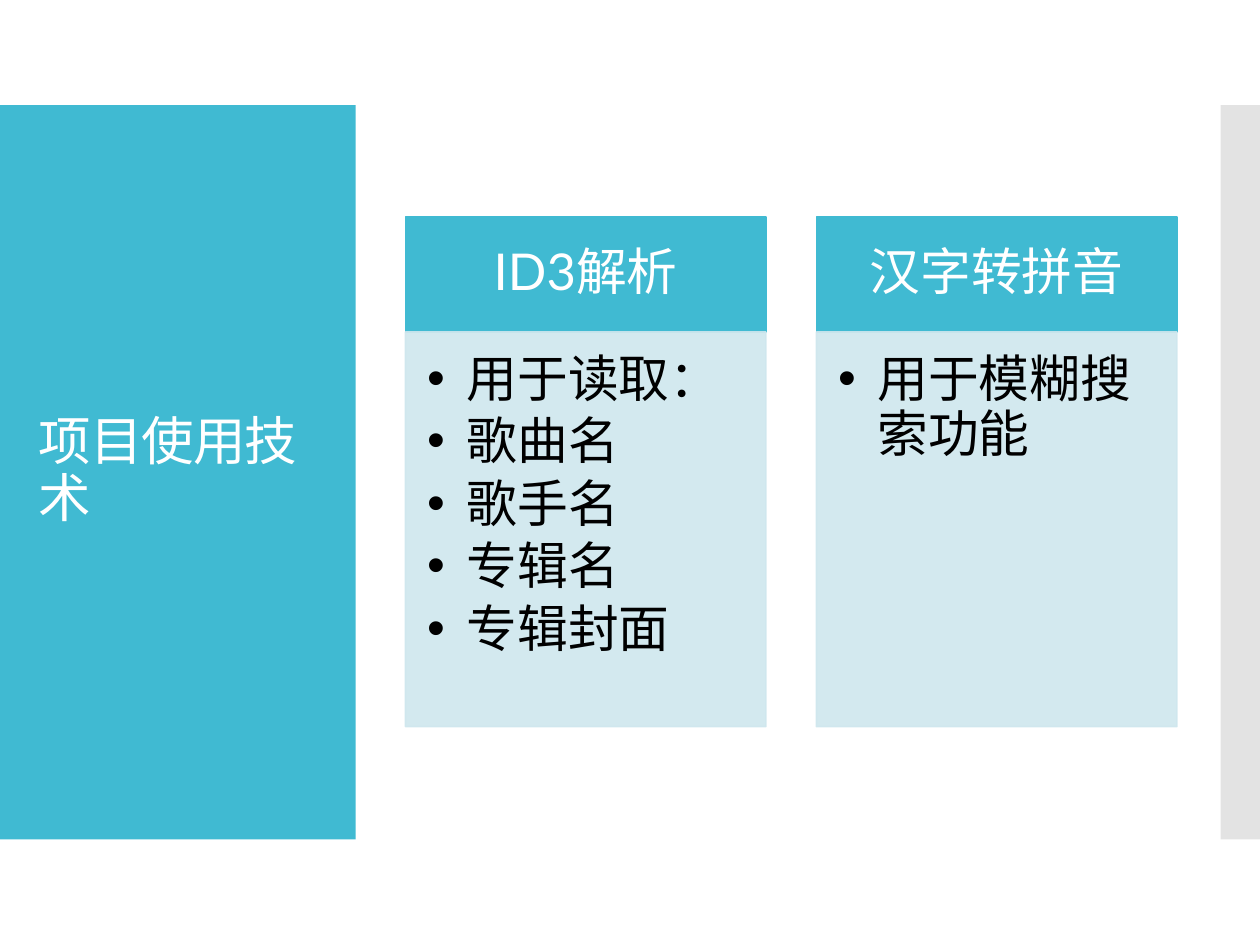
from pptx import Presentation
from pptx.dml.color import RGBColor
from pptx.enum.shapes import MSO_SHAPE as Preset
from pptx.enum.text import MSO_ANCHOR as Anchor, MSO_AUTO_SIZE as AutoSize, PP_ALIGN as Align
from pptx.oxml.ns import qn
from pptx.util import Pt
from lxml.etree import SubElement


def color(value):
    return RGBColor.from_string(value)


class SlideBuilder:
    FONT = "Lato"
    ACCENT = "40BAD2"
    PANEL = "CFE7EE"
    GREY = "C8C8C8"
    WHITE = "FFFFFF"
    BLACK = "000000"

    def __init__(self, slide):
        self.slide = slide

    def place(self, shape, left, top, width, height):
        shape.left, shape.top = Pt(left), Pt(top)
        shape.width, shape.height = Pt(width), Pt(height)

    def paint(self, shape, fill, opacity=100, line_width=0):
        shape.fill.solid()
        shape.fill.fore_color.rgb = color(fill)
        if line_width:
            shape.line.width = Pt(line_width)
            shape.line.color.rgb = color(fill)
        else:
            shape.line.fill.background()
        if opacity < 100:
            for node in shape.element.spPr.iter(qn("a:srgbClr")):
                SubElement(node, qn("a:alpha")).set("val", str(opacity * 1000))

    def band(self, box, fill, opacity=100):
        shape = self.slide.shapes.add_shape(Preset.RECTANGLE, *map(Pt, box))
        shape.shadow.inherit = False
        self.paint(shape, fill, opacity)
        self.slide.shapes.title.element.addprevious(shape.element)

    def set_text(self, shape, text, size, font_color, anchor, align, insets, space_after=0):
        frame = shape.text_frame
        frame.text = text
        frame.word_wrap = True
        frame.auto_size = AutoSize.NONE
        frame.vertical_anchor = anchor
        frame.margin_left, frame.margin_top, frame.margin_right, frame.margin_bottom = map(Pt, insets)
        for paragraph in frame.paragraphs:
            paragraph.alignment = align
            paragraph.line_spacing = 0.9
            paragraph.space_before = Pt(0)
            paragraph.space_after = Pt(space_after)
            for run in paragraph.runs:
                run.font.name = self.FONT
                run.font.size = Pt(size)
                run.font.bold = False
                run.font.color.rgb = color(font_color)
        return frame.paragraphs

    def title(self, box, text):
        shape = self.slide.shapes.title
        self.place(shape, *box)
        paragraphs = self.set_text(shape, text, 30, self.WHITE, Anchor.MIDDLE, Align.LEFT, (7.2, 3.6, 7.2, 3.6))
        for run in paragraphs[0].runs:
            run._r.get_or_add_rPr().set("spc", "-60")

    def heading(self, index, box, text):
        shape = self.slide.placeholders[index]
        self.place(shape, *box)
        self.paint(shape, self.ACCENT, line_width=0.85)
        self.set_text(shape, text, 29, self.WHITE, Anchor.MIDDLE, Align.CENTER, (16.5, 9.4, 16.5, 9.4), 10.15)

    def bullets(self, index, box, items):
        shape = self.slide.placeholders[index]
        self.place(shape, *box)
        self.paint(shape, self.PANEL, 90, 0.85)
        paragraphs = self.set_text(shape, "\n".join(items), 29, self.BLACK, Anchor.TOP, Align.LEFT,
                                   (12.4, 12.4, 16.5, 18.5), 4.35)
        for paragraph in paragraphs:
            paragraph.level = 1
            properties = paragraph._p.get_or_add_pPr()
            properties.set("marL", str(Pt(22.5)))
            properties.set("indent", str(-Pt(22.5)))
            SubElement(properties, qn("a:buChar")).set("char", "•")


presentation = Presentation()
presentation.slide_width, presentation.slide_height = Pt(720), Pt(540)
comparison = presentation.slide_layouts.get_by_name("Comparison")
builder = SlideBuilder(presentation.slides.add_slide(comparison))

builder.band((0, 60, 203.3, 419.6), builder.ACCENT)
builder.band((697.5, 60, 22.5, 419.6), builder.GREY, 50)
builder.title((15, 88.6, 174, 362.4), "项目使用技术")

technologies = [
    ("ID3解析", ["用于读取：", "歌曲名", "歌手名", "专辑名", "专辑封面"]),
    ("汉字转拼音", ["用于模糊搜索功能"]),
]
for column, (name, uses) in enumerate(technologies):
    left = 231.7 + column * 234.8
    builder.heading(1 + 2 * column, (left, 123.9, 206, 65.8), name)
    builder.bullets(2 + 2 * column, (left, 189.7, 206, 225.6), uses)

presentation.save("out.pptx")
